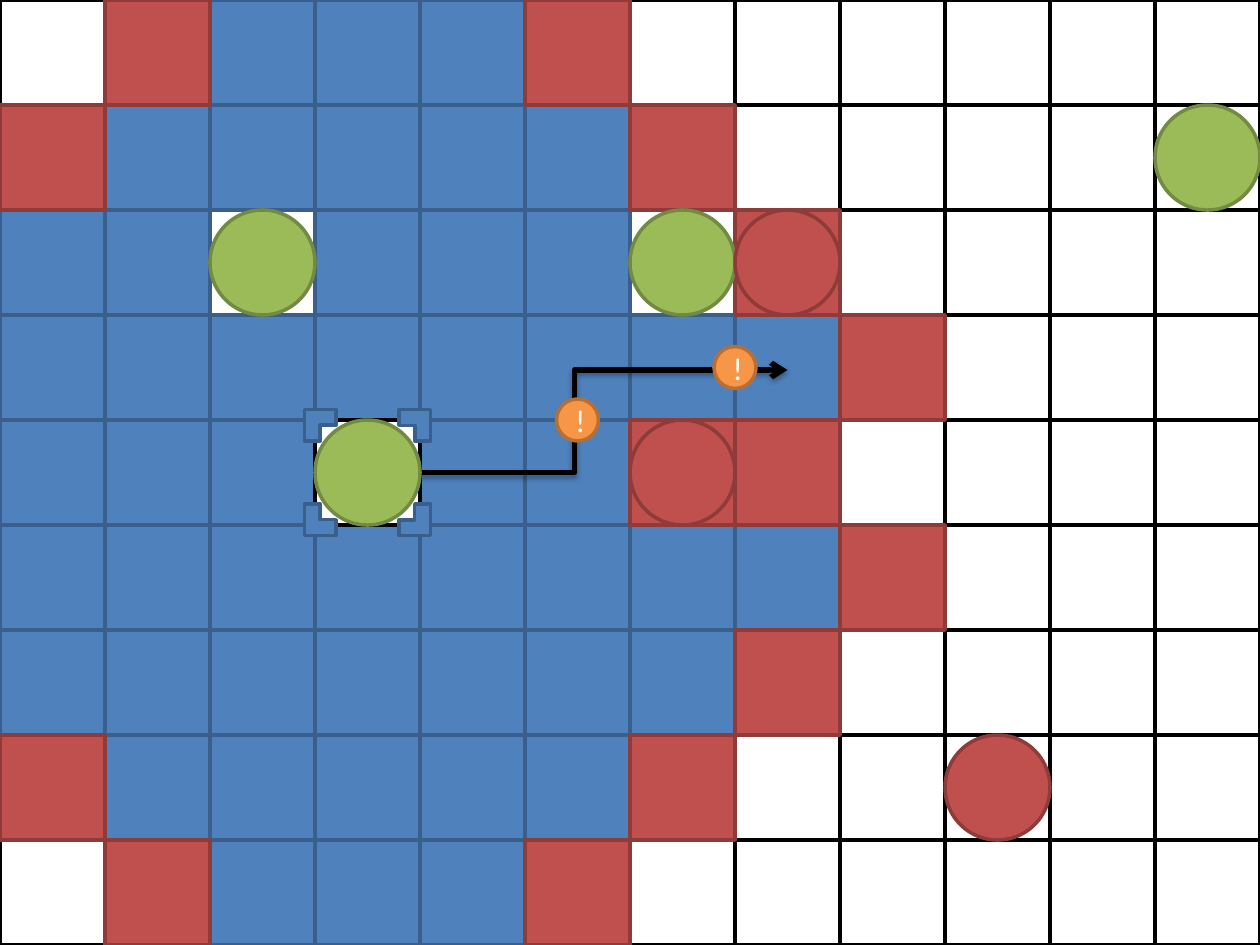
from lxml import etree
from pptx import Presentation
from pptx.dml.color import RGBColor
from pptx.enum import shapes, text
from pptx.oxml import ns
from pptx.util import Pt

WHITE, BLACK = RGBColor(0xFF, 0xFF, 0xFF), RGBColor(0, 0, 0)
BLUE, DARK_BLUE = RGBColor(0x4F, 0x81, 0xBD), RGBColor(0x3A, 0x5F, 0x8C)
RED, DARK_RED = RGBColor(0xC0, 0x50, 0x4D), RGBColor(0x8E, 0x3B, 0x39)
GREEN, DARK_GREEN = RGBColor(0x9B, 0xBB, 0x59), RGBColor(0x73, 0x8A, 0x42)
ORANGE, DARK_ORANGE = RGBColor(0xF7, 0x96, 0x46), RGBColor(0xB7, 0x6F, 0x34)

STYLES = {
    "W": (WHITE, BLACK),
    "B": (BLUE, DARK_BLUE),
    "R": (RED, DARK_RED),
    "G": (GREEN, DARK_GREEN),
    "O": (ORANGE, DARK_ORANGE),
}
CELL = 60
# W = out of reach, B = reachable, R = edge of reach, . = selected cell
BOARD = [
    "WRBBBRWWWWWW",
    "RBBBBBRWWWWW",
    "BBWBBBWRWWWW",
    "BBBBBBBBRWWW",
    "BBB.BBRRWWWW",
    "BBBBBBBBRWWW",
    "BBBBBBBRWWWW",
    "RBBBBBRWWWWW",
    "WRBBBRWWWWWW",
]
SELECTED = (3, 4)
UNITS = [("G", 2, 2), ("G", 6, 2), ("G", 11, 1), ("G", *SELECTED),
         ("R", 7, 2), ("R", 6, 4), ("R", 9, 7)]

prs = Presentation()
prs.slide_width, prs.slide_height = Pt(720), Pt(540)
s = prs.slides.add_slide(prs.slide_layouts[6])
MSO = shapes.MSO_SHAPE


def add_piece(kind, style, x, y, size=CELL):
    sp = s.shapes.add_shape(kind, Pt(x), Pt(y), Pt(size), Pt(size))
    sp.shadow.inherit = False
    fill, line = STYLES[style]
    sp.fill.solid()
    sp.fill.fore_color.rgb = fill
    sp.line.color.rgb = line
    sp.line.width = Pt(2)
    return sp


# Board, one layer per colour so that coloured borders cover black ones
for style in "WBR":
    for row, cells in enumerate(BOARD):
        for col, cell in enumerate(cells):
            if cell == style:
                add_piece(MSO.RECTANGLE, style, col * CELL, row * CELL)

# Movement route
route = s.shapes.add_connector(shapes.MSO_CONNECTOR.ELBOW,
                               Pt(240), Pt(270), Pt(450), Pt(211.5))
route.line.color.rgb = BLACK
route.line.width = Pt(3)
ln = route.line._get_or_add_ln()
etree.SubElement(ln, ns.qn("a:tailEnd"), type="arrow")
sp_pr = ln.getparent()
guides = sp_pr.find(ns.qn("a:prstGeom")).get_or_add_avLst()
etree.SubElement(guides, ns.qn("a:gd"), name="adj1", fmla="val 42100")
effects = etree.SubElement(sp_pr, ns.qn("a:effectLst"))
shadow = etree.SubElement(effects, ns.qn("a:outerShdw"), blurRad=str(Pt(3.1)),
                          dist=str(Pt(1.8)), dir="5400000", rotWithShape="0")
color = etree.SubElement(shadow, ns.qn("a:srgbClr"), val=str(BLACK))
etree.SubElement(color, ns.qn("a:alpha"), val="35000")

# Selected cell with its corner brackets
left, top = SELECTED[0] * CELL, SELECTED[1] * CELL
add_piece(MSO.RECTANGLE, "W", left, top)
for dx, dy, angle in [(-6, 48, 0), (48, 48, 270), (-6, -6, 90), (48, -6, 180)]:
    add_piece(MSO.CORNER, "B", left + dx, top + dy, 18).rotation = angle

for style, col, row in UNITS:
    add_piece(MSO.OVAL, style, col * CELL, row * CELL)

# Warnings along the route
for x, y in [(318, 228), (408, 198)]:
    tf = add_piece(MSO.OVAL, "O", x, y, 24).text_frame
    tf.text = "!"
    tf.vertical_anchor = text.MSO_ANCHOR.MIDDLE
    p = tf.paragraphs[0]
    p.alignment = text.PP_ALIGN.CENTER
    r = p.runs[0]
    r.font.name = "Calibri"
    r.font.size = Pt(18)
    r.font.color.rgb = WHITE

prs.save("out.pptx")
